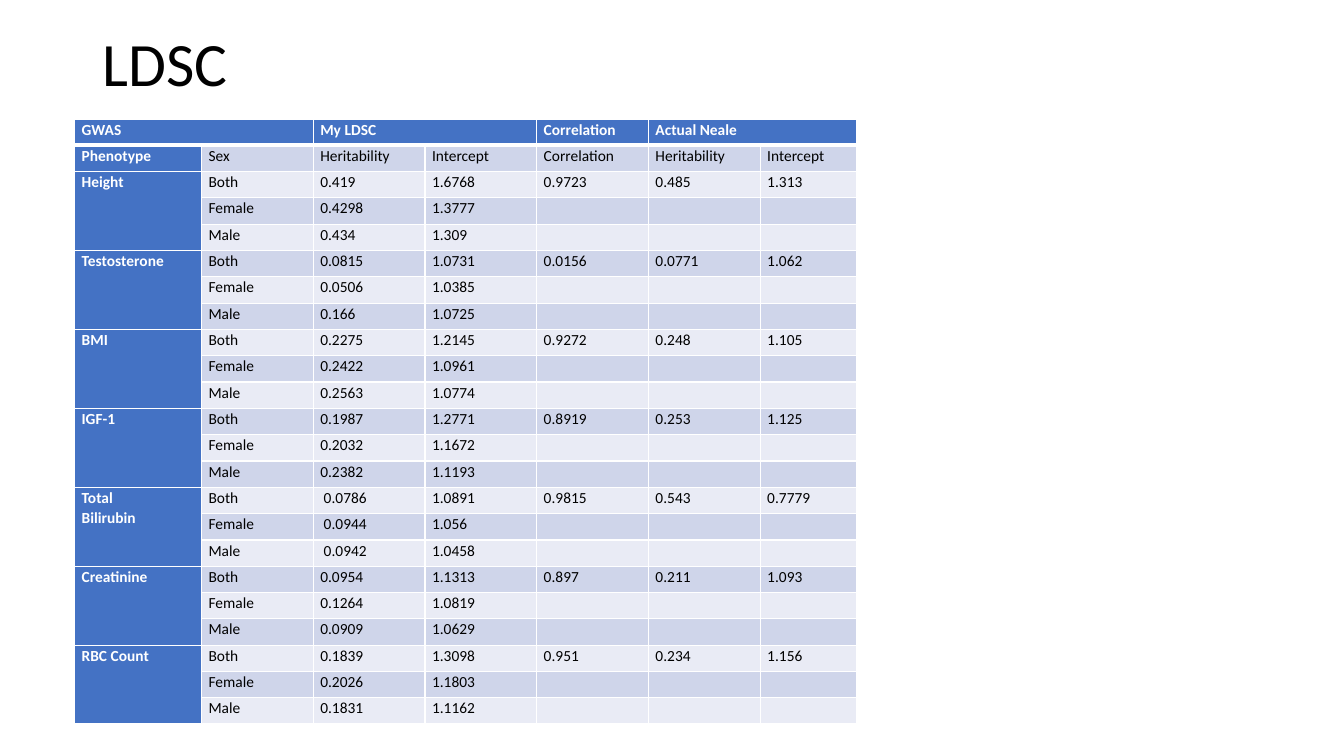
from collections import namedtuple

from lxml.etree import SubElement
from pptx import Presentation
from pptx.dml.color import RGBColor
from pptx.enum.text import MSO_ANCHOR, PP_ALIGN
from pptx.oxml.ns import qn
from pptx.util import Inches, Pt

BLACK = RGBColor(0x00, 0x00, 0x00)
WHITE = RGBColor(0xFF, 0xFF, 0xFF)
BLUE = RGBColor(0x44, 0x72, 0xC4)
DARK_BAND = RGBColor(0xCF, 0xD5, 0xEA)
LIGHT_BAND = RGBColor(0xE9, 0xEB, 0xF5)

FONT = "Calibri"
TEXT_SIZE = 11
COLUMN_SHARES = [1.26, 1.11, 1.11, 1.11, 1.11, 1.11, 0.96]
SEXES = ["Both", "Female", "Male"]

GROUPS = ["GWAS", "", "My LDSC", "", "Correlation", "Actual Neale", ""]
HEADINGS = ["Phenotype", "Sex", "Heritability", "Intercept", "Correlation", "Heritability", "Intercept"]
PHENOTYPES = [
    ("Height", ["0.419", "0.4298", "0.434"], ["1.6768", "1.3777", "1.309"], ["0.9723", "0.485", "1.313"]),
    ("Testosterone", ["0.0815", "0.0506", "0.166"], ["1.0731", "1.0385", "1.0725"], ["0.0156", "0.0771", "1.062"]),
    ("BMI", ["0.2275", "0.2422", "0.2563"], ["1.2145", "1.0961", "1.0774"], ["0.9272", "0.248", "1.105"]),
    ("IGF-1", ["0.1987", "0.2032", "0.2382"], ["1.2771", "1.1672", "1.1193"], ["0.8919", "0.253", "1.125"]),
    ("Total\nBilirubin", [" 0.0786", " 0.0944", " 0.0942"], ["1.0891", "1.056", "1.0458"], ["0.9815", "0.543", "0.7779"]),
    ("Creatinine", ["0.0954", "0.1264", "0.0909"], ["1.1313", "1.0819", "1.0629"], ["0.897", "0.211", "1.093"]),
    ("RBC Count", ["0.1839", "0.2026", "0.1831"], ["1.3098", "1.1803", "1.1162"], ["0.951", "0.234", "1.156"]),
]

Box = namedtuple("Box", "left top width height")


def add_span(para, text, size, color, bold=False):
    span = para.add_run()
    span.text = text
    span.font.name = FONT
    span.font.size = Pt(size)
    span.font.bold = bold
    span.font.color.rgb = color


def add_title(page, box, text):
    title = page.shapes.title
    title.left, title.top, title.width, title.height = box
    frame = title.text_frame
    frame.word_wrap = True
    frame.vertical_anchor = MSO_ANCHOR.MIDDLE
    para = frame.paragraphs[0]
    para.alignment = PP_ALIGN.LEFT
    para.line_spacing = 0.9
    add_span(para, text, 44, BLACK)


def set_borders(cell, row):
    widths = {"L": 1, "R": 1, "T": 3 if row == 1 else 1, "B": 3 if row == 0 else 1}
    properties = cell._tc.get_or_add_tcPr()
    for side, width in widths.items():
        line = SubElement(properties, qn(f"a:ln{side}"), w=str(Pt(width)))
        fill = SubElement(line, qn("a:solidFill"))
        SubElement(fill, qn("a:srgbClr"), val=str(WHITE))


def fill_cell(cell, text, row, column):
    is_heading = row == 0 or column == 0
    set_borders(cell, row)
    cell.fill.solid()
    cell.fill.fore_color.rgb = BLUE if is_heading else DARK_BAND if row % 2 else LIGHT_BAND
    cell.margin_left = cell.margin_right = Inches(0.07)
    cell.margin_top = cell.margin_bottom = 0
    for index, line in enumerate(text.split("\n")):
        para = cell.text_frame.add_paragraph() if index else cell.text_frame.paragraphs[0]
        para.line_spacing = 1.07
        if line:
            add_span(para, line, TEXT_SIZE, WHITE if is_heading else BLACK, is_heading)
        else:
            SubElement(para._p, qn("a:endParaRPr"), sz=str(TEXT_SIZE * 100))


def list_rows():
    rows = [GROUPS, HEADINGS]
    for name, heritabilities, intercepts, comparison in PHENOTYPES:
        for index, sex in enumerate(SEXES):
            first = index == 0
            rows.append([name if first else "", sex, heritabilities[index], intercepts[index],
                         *(comparison if first else [""] * 3)])
    return rows


def add_results_table(page, box):
    rows = list_rows()
    table = page.shapes.add_table(len(rows), len(COLUMN_SHARES), *box).table
    table.first_row = table.horz_banding = False
    for column, share in zip(table.columns, COLUMN_SHARES):
        column.width = int(box.width * share / sum(COLUMN_SHARES))
    for table_row in table.rows:
        table_row.height = int(box.height / len(rows))
    for row, texts in enumerate(rows):
        for column, text in enumerate(texts):
            fill_cell(table.cell(row, column), text, row, column)
    for column in (0, 2, 5):
        table.cell(0, column).merge(table.cell(0, column + 1))
    for row in range(2, len(rows), len(SEXES)):
        table.cell(row, 0).merge(table.cell(row + len(SEXES) - 1, 0))


def main():
    deck = Presentation()
    deck.slide_width, deck.slide_height = Inches(13.33), Inches(7.5)
    page = deck.slides.add_slide(deck.slide_layouts[5])
    add_title(page, Box(Inches(0.92), Inches(0.05), Inches(2.27), Inches(1.22)), "LDSC")
    add_results_table(page, Box(Inches(0.74), Inches(1.18), Inches(7.76), Inches(6.01)))
    deck.save("out.pptx")


if __name__ == "__main__":
    main()
